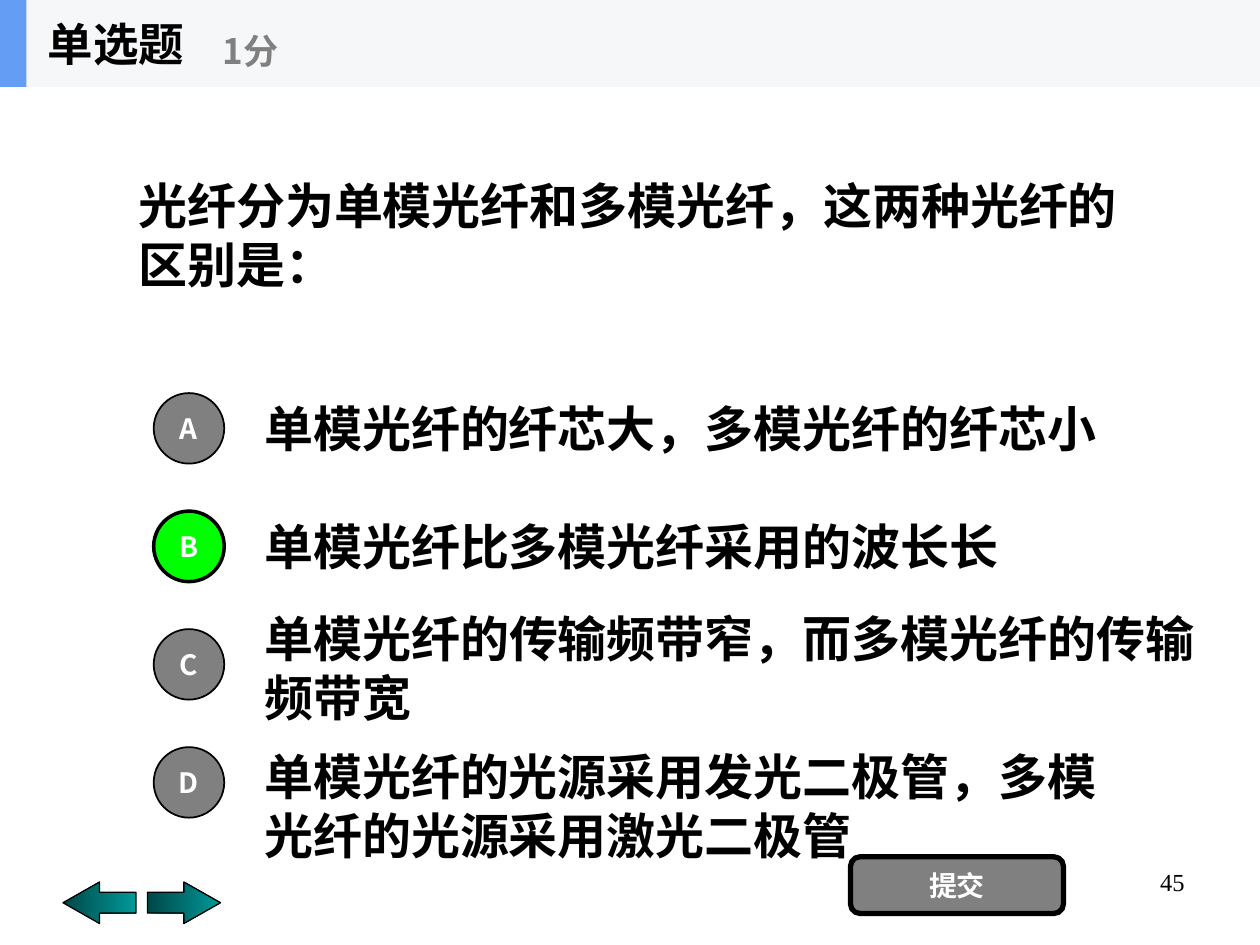
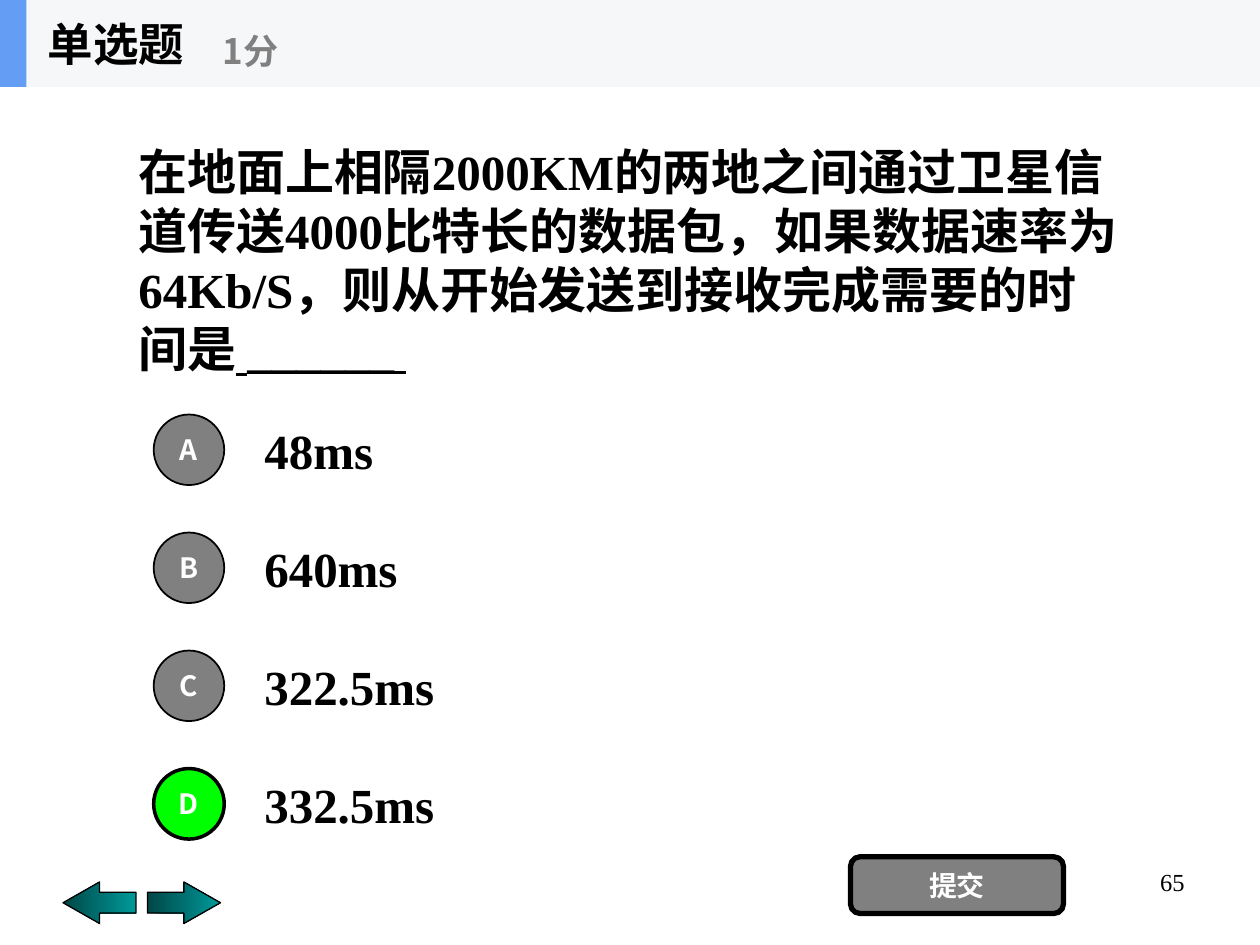
from dataclasses import dataclass
from typing import Optional

from lxml.etree import SubElement
from pptx import Presentation
from pptx.dml.color import RGBColor
from pptx.enum.shapes import MSO_SHAPE as Shape
from pptx.enum.text import MSO_ANCHOR as Anchor, PP_ALIGN as Align
from pptx.oxml.ns import qn
from pptx.util import Inches, Pt

SERIF, SANS = "Times New Roman", "Noto Sans CJK SC"
BLACK, WHITE, GRAY, GREEN = "000000", "FFFFFF", "808080", "00FF00"
BAND, ACCENT = "F6F7F8", "639EF4"
ARROW_DARK, ARROW_LIGHT = "004747", "009999"

OPTION_PITCH = 2.81 / 3
CIRCLE_SIZE = 0.56
OPTION_HEIGHT = 0.7


def color(value):
    return RGBColor.from_string(value)


@dataclass
class Option:
    text: str
    top: Optional[float] = None  # None: level with its circle
    width: float = 7
    bottom_inset: float = 0.05


@dataclass
class Question:
    number: str
    top: float
    runs: list  # (text, underlined)
    first_circle: float
    options: list
    answer: str


class QuizDeck:
    def __init__(self):
        self.presentation = Presentation()
        self.presentation.slide_width = Inches(10)
        self.presentation.slide_height = Inches(7.5)
        self.slide = None

    def new_slide(self):
        self.slide = self.presentation.slides.add_slide(self.presentation.slide_layouts[6])

    def fill_text(self, shape, runs, size, font_name, hex_color, bold=True,
                  align=Align.LEFT, anchor=Anchor.MIDDLE, wrap=True):
        frame = shape.text_frame
        frame.word_wrap = wrap
        frame.vertical_anchor = anchor
        paragraph = frame.paragraphs[0]
        paragraph.alignment = align
        font = paragraph.font
        font.size, font.bold, font.name = Pt(size), bold, font_name
        font.color.rgb = color(hex_color)
        defaults = paragraph._p.pPr.find(qn("a:defRPr"))
        SubElement(defaults, qn("a:ea")).set("typeface", SANS)
        for text, underlined in runs:
            run = paragraph.add_run()
            run.text = text
            if underlined:
                run.font.underline = True

    def text(self, box, text, size, font_name=SERIF, hex_color=BLACK, **style):
        shape = self.slide.shapes.add_textbox(*map(Inches, box))
        runs = [(text, False)] if isinstance(text, str) else text
        self.fill_text(shape, runs, size, font_name, hex_color, **style)
        return shape

    def shape(self, kind, box, fill=None, line_width=0):
        shape = self.slide.shapes.add_shape(kind, *map(Inches, box))
        shape.shadow.inherit = False
        if fill:
            shape.fill.solid()
            shape.fill.fore_color.rgb = color(fill)
        if line_width:
            shape.line.color.rgb = color(BLACK)
            shape.line.width = Pt(line_width)
        else:
            shape.line.fill.background()
        return shape

    def button(self, kind, box, label, fill, line_width):
        shape = self.shape(kind, box, fill, line_width)
        self.fill_text(shape, [(label, False)], 16, SANS, WHITE, align=Align.CENTER, wrap=False)

    def arrow(self, kind, left):
        shape = self.shape(kind, (left, 7, 0.58, 0.33), line_width=0.75)
        shape.adjustments[0], shape.adjustments[1] = 0.5, 0.88
        shape.fill.gradient()
        shape.fill.gradient_angle = 0
        for stop, value in zip(shape.fill.gradient_stops, (ARROW_DARK, ARROW_LIGHT)):
            stop.color.rgb = color(value)

    def header(self):
        self.shape(Shape.RECTANGLE, (0, 0, 10, 0.69), BAND)
        self.shape(Shape.RECTANGLE, (0, 0, 0.21, 0.69), ACCENT)
        self.text((0.28, 0, 2.08, 0.69), "单选题", 26, SANS)
        self.text((1.67, 0.12, 2.5, 0.56), "1分", 20, SANS, GRAY)

    def footer(self, number):
        self.arrow(Shape.LEFT_ARROW, 0.5)
        self.arrow(Shape.RIGHT_ARROW, 1.17)
        self.text((7.17, 6.83, 2.33, 0.52), number, 14, bold=False,
                  align=Align.RIGHT, anchor=Anchor.TOP)

    def option(self, letter, circle_top, option, correct):
        top = circle_top - 0.07 if option.top is None else option.top
        box = self.text((2, top, option.width, OPTION_HEIGHT), option.text, 28)
        box.text_frame.margin_bottom = Inches(option.bottom_inset)
        self.button(Shape.OVAL, (1.22, circle_top, CIRCLE_SIZE, CIRCLE_SIZE), letter,
                    GREEN if correct else GRAY, 2 if correct else 1)

    def question(self, question):
        self.new_slide()
        self.footer(question.number)
        self.text((1, question.top, 8, 2.34), question.runs, 28)
        for index, (letter, option) in enumerate(zip("ABCD", question.options)):
            circle_top = question.first_circle + index * OPTION_PITCH
            self.option(letter, circle_top, option, letter == question.answer)
        self.button(Shape.ROUNDED_RECTANGLE, (6.75, 6.8, 1.69, 0.45), "提交", GRAY, 3)
        self.header()


QUESTIONS = [
    # Single-mode and multi-mode fibre
    Question(
        "45", 0.69,
        [("光纤分为单模光纤和多模光纤，这两种光纤的区别是：", False)],
        3.12,
        [Option("单模光纤的纤芯大，多模光纤的纤芯小"),
         Option("单模光纤比多模光纤采用的波长长"),
         Option("单模光纤的传输频带窄，而多模光纤的传输频带宽",
                top=5.18, width=7.65, bottom_inset=0.52),
         Option("单模光纤的光源采用发光二极管，多模光纤的光源采用激光二极管", top=6.04)],
        "B"),
    # Satellite transmission delay
    Question(
        "65", 0.89,
        [("在地面上相隔2000KM的两地之间通过卫星信道传送4000比特长的数据包，"
          "如果数据速率为64Kb/S，则从开始发送到接收完成需要的时间是", False),
         (" ______ ", True)],
        3.29,
        [Option(text) for text in ("48ms", "640ms", "322.5ms", "332.5ms")],
        "D"),
]


def main():
    deck = QuizDeck()
    for question in QUESTIONS:
        deck.question(question)
    deck.presentation.save("out.pptx")


if __name__ == "__main__":
    main()
